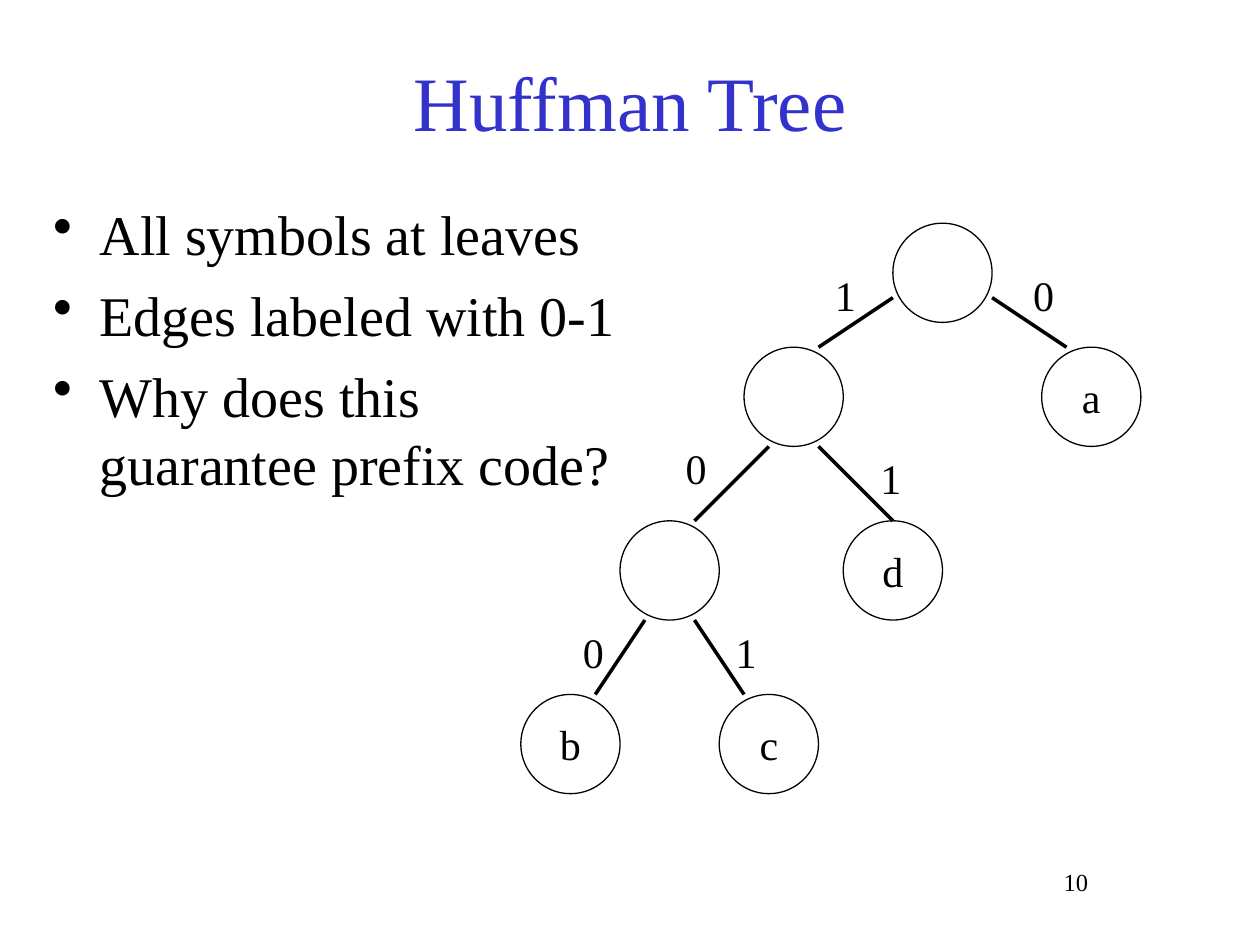
"""Build the Huffman tree slide."""
from dataclasses import dataclass

import pptx
import pptx.dml.color
import pptx.enum.shapes
import pptx.enum.text
import pptx.oxml
import pptx.oxml.ns
import pptx.util
from pptx.util import Cm, Pt

ALIGN = pptx.enum.text.PP_ALIGN
ANCHOR = pptx.enum.text.MSO_ANCHOR


@dataclass(frozen=True)
class Theme:
    font: str = "Times New Roman"
    black: str = "000000"
    blue: str = "3333CC"
    title: int = 44
    body: int = 32
    label: int = 24
    number: int = 14
    node: float = 2


@dataclass(frozen=True)
class Node:
    left: float
    top: float
    symbol: str = ""


@dataclass(frozen=True)
class Edge:
    x1: float
    y1: float
    x2: float
    y2: float
    bit: str
    bit_left: float
    bit_top: float


THEME = Theme()
NODES = [
    Node(18, 4.5),
    Node(21, 7, "a"),
    Node(15, 7),
    Node(12.5, 10.5),
    Node(17, 10.5, "d"),
    Node(10.5, 14, "b"),
    Node(14.5, 14, "c"),
]
EDGES = [
    Edge(18, 6, 16.5, 7, "1", 16.58, 5.3),
    Edge(20, 6, 21.5, 7, "0", 20.58, 5.3),
    Edge(15.5, 9, 14, 10.5, "0", 13.57, 8.8),
    Edge(16.5, 9, 18, 10.5, "1", 17.5, 9),
    Edge(13, 12.5, 12, 14, "0", 11.5, 12.5),
    Edge(14, 12.5, 15, 14, "1", 14.58, 12.5),
]
BULLETS = [
    "All symbols at leaves",
    "Edges labeled with 0-1",
    "Why does this guarantee prefix code?",
]


def rgb(value: str) -> pptx.dml.color.RGBColor:
    """Turn a hex string into a colour."""
    return pptx.dml.color.RGBColor.from_string(value)


def style(p, size: int, color: str = THEME.black, align=ALIGN.LEFT) -> None:
    """Align a paragraph and format its runs."""
    p.alignment = align
    for r in p.runs:
        r.font.name = THEME.font
        r.font.size = Pt(size)
        r.font.color.rgb = rgb(color)


def set_margins(tf, margin: float) -> None:
    """Give a text frame the same margin on all sides."""
    tf.margin_left = tf.margin_right = Cm(margin)
    tf.margin_top = tf.margin_bottom = Cm(margin)


def hairline(line) -> None:
    """Draw a line black and as thin as possible."""
    line.color.rgb = rgb(THEME.black)
    line.width = Pt(0)


def add_title(slide, text: str) -> None:
    """Place and format the title placeholder."""
    sp = slide.shapes.title
    sp.left, sp.top, sp.width, sp.height = Cm(1.9), Cm(0.03), Cm(21.6), Cm(4)
    tf = sp.text_frame
    tf.text = text
    tf.vertical_anchor = ANCHOR.MIDDLE
    set_margins(tf, 0)
    style(tf.paragraphs[0], THEME.title, THEME.blue, ALIGN.CENTER)


def add_bullets(slide, lines: list[str]) -> None:
    """Add the bulleted list."""
    tf = slide.shapes.add_textbox(Cm(1.07), Cm(4.02), Cm(11.94), Cm(13.77)).text_frame
    tf.word_wrap = True
    set_margins(tf, 0)
    tf.text = "\n".join(lines)
    for p in tf.paragraphs:
        style(p, THEME.body)
        p.space_before = Pt(8)
        pPr = p._p.get_or_add_pPr()
        pPr.set("marL", str(Cm(0.94)))
        pPr.set("indent", str(-Cm(0.94)))
        bullet = pptx.oxml.parse_xml(f'<a:buChar {pptx.oxml.ns.nsdecls("a")} char="•"/>')
        pPr.append(bullet)


def add_text(slide, text: str, left: float, top: float, width: float,
             height: float, size: int, align=ALIGN.LEFT) -> None:
    """Add a single line of text."""
    tf = slide.shapes.add_textbox(Cm(left), Cm(top), Cm(width), Cm(height)).text_frame
    tf.text = text
    tf.word_wrap = align != ALIGN.LEFT
    style(tf.paragraphs[0], size, align=align)


def add_node(slide, node: Node) -> None:
    """Add a tree node with its symbol."""
    sp = slide.shapes.add_shape(
        pptx.enum.shapes.MSO_SHAPE.OVAL,
        Cm(node.left), Cm(node.top), Cm(THEME.node), Cm(THEME.node))
    sp.shadow.inherit = False
    sp.fill.background()
    hairline(sp.line)
    if node.symbol:
        tf = sp.text_frame
        tf.text = node.symbol
        tf.vertical_anchor = ANCHOR.MIDDLE
        style(tf.paragraphs[0], THEME.label, align=ALIGN.CENTER)


def add_edge(slide, edge: Edge) -> None:
    """Add a tree edge with its bit."""
    line = slide.shapes.add_connector(
        pptx.enum.shapes.MSO_CONNECTOR.STRAIGHT,
        Cm(edge.x1), Cm(edge.y1), Cm(edge.x2), Cm(edge.y2))
    hairline(line.line)
    effects = pptx.oxml.parse_xml(f'<a:effectLst {pptx.oxml.ns.nsdecls("a")}/>')
    line._element.spPr.append(effects)
    add_text(slide, edge.bit, edge.bit_left, edge.bit_top, 0.91, 1.2, THEME.label)


def main() -> None:
    """Build and save the slide."""
    prs = pptx.Presentation()
    prs.slide_width, prs.slide_height = Cm(25.4), Cm(19.05)
    slide = prs.slides.add_slide(prs.slide_layouts.get_by_name("Title Only"))
    add_title(slide, "Huffman Tree")
    add_bullets(slide, BULLETS)
    for node in NODES:
        add_node(slide, node)
    for edge in EDGES:
        add_edge(slide, edge)
    add_text(slide, "10", 19.05, 17.35, 5.28, 1.27, THEME.number, ALIGN.CENTER)
    prs.save("out.pptx")


main()
